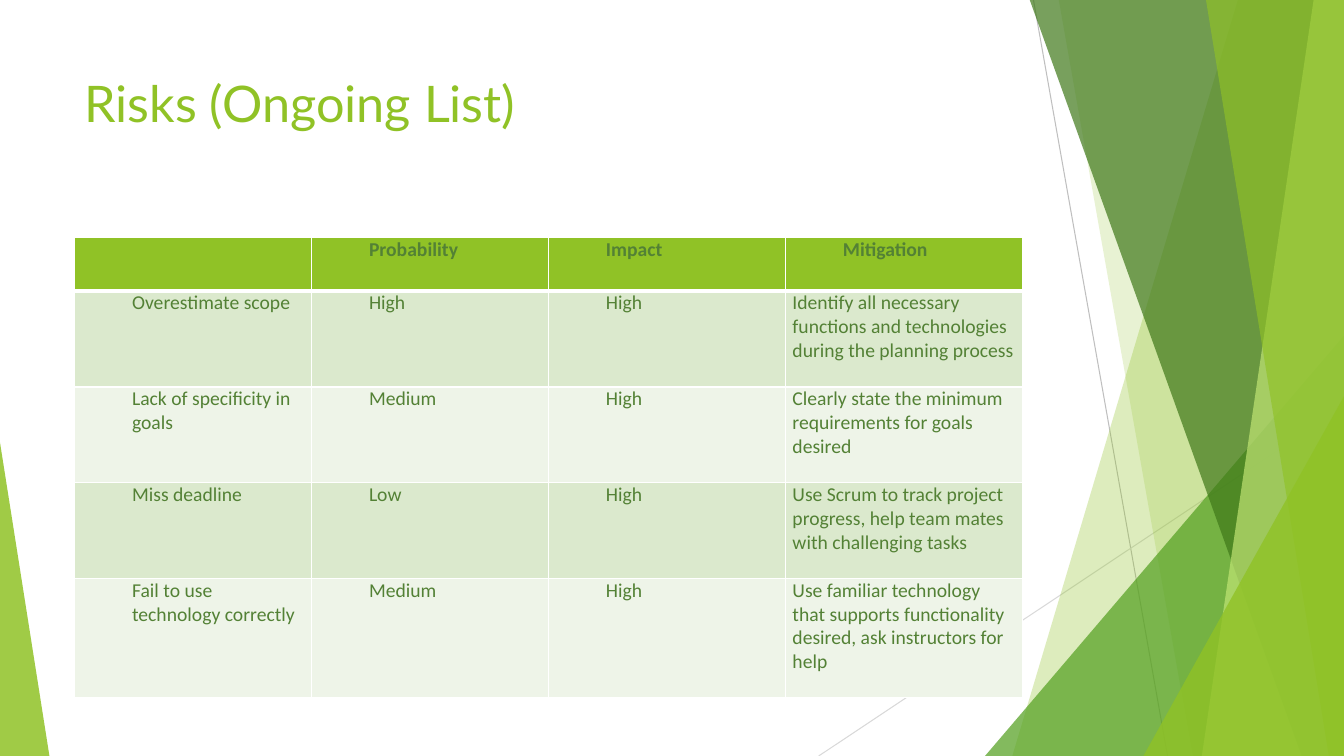
from lxml import etree
from pptx import Presentation
from pptx.dml.color import RGBColor
from pptx.enum import shapes, text
from pptx.oxml import ns
from pptx.util import Inches, Pt

GREEN = "90C226"
DARK_GREEN = "538135"
WHITE = "FFFFFF"
BAND_FILLS = ["DBE9CD", "EEF4E8"]
ROW_HEIGHTS = [0.53, 0.95, 0.95, 0.95, 1.18]
COLUMN_WIDTH = 2.35
RISKS = [
    ["", "Probability", "Impact", "Mitigation"],
    ["Overestimate scope", "High", "High",
     "Identify all necessary functions and technologies during the planning process"],
    ["Lack of specificity in goals", "Medium", "High",
     "Clearly state the minimum requirements for goals desired"],
    ["Miss deadline", "Low", "High",
     "Use Scrum to track project progress, help team mates with challenging tasks"],
    ["Fail to use technology correctly", "Medium", "High",
     "Use familiar technology that supports functionality desired, ask instructors for help"],
]


def rgb(color):
    return RGBColor.from_string(color)


def add_child(parent, tag, **attributes):
    return etree.SubElement(parent, ns.qn(tag), attributes)


def paint(shape, color, opacity):
    shape.shadow.inherit = False
    shape.line.fill.background()
    shape.fill.solid()
    shape.fill.fore_color.rgb = rgb(color)
    fill_color = shape.fill._xPr.find(ns.qn("a:solidFill"))[0]
    add_child(fill_color, "a:alpha", val=str(opacity * 1000))


def add_line(page, start, end, color):
    line = page.shapes.add_connector(
        shapes.MSO_CONNECTOR.STRAIGHT, *map(Inches, start + end))
    line.line.color.rgb = rgb(color)
    line.line.width = Pt(0.75)
    add_child(line._element.spPr, "a:effectLst")


def add_ribbon(page, top_left, bottom_left, color, opacity):
    corners = [(top_left, -0.01), (13.33, -0.01), (13.33, 7.5), (bottom_left, 7.5)]
    points = [(Inches(x), Inches(y)) for x, y in corners]
    builder = page.shapes.build_freeform(*points[0], scale=1.0)
    builder.add_line_segments(points[1:], close=True)
    paint(builder.convert_to_shape(), color, opacity)


def add_triangle(page, left, top, width, apex, color, opacity):
    triangle = page.shapes.add_shape(
        shapes.MSO_SHAPE.ISOSCELES_TRIANGLE,
        Inches(left), Inches(top), Inches(width), Inches(7.5 - top))
    triangle.adjustments[0] = apex
    paint(triangle, color, opacity)


def format_text(para, font, size, color, bold=False):
    for span in para.runs:
        span.font.name = font
        span.font.size = Pt(size)
        span.font.bold = bold
        span.font.color.rgb = rgb(color)


def add_title(page, wording):
    box = page.shapes.add_textbox(Inches(0.74), Inches(0.67), Inches(9.4), Inches(1.44))
    frame = box.text_frame
    frame.word_wrap = True
    frame.vertical_anchor = text.MSO_ANCHOR.TOP
    frame.text = wording
    format_text(frame.paragraphs[0], "Lato", 36, GREEN)


def set_borders(cell, bottom_width):
    properties = cell._tc.get_or_add_tcPr()
    widths = {"a:lnL": 1, "a:lnR": 1, "a:lnT": 1, "a:lnB": bottom_width}
    for tag, width in widths.items():
        border = add_child(properties, tag, w=str(Pt(width)))
        fill = add_child(border, "a:solidFill")
        add_child(fill, "a:srgbClr", val=WHITE)


def fill_cell(cell, wording, indented, header, color):
    set_borders(cell, 3 if header else 1)
    cell.fill.solid()
    cell.fill.fore_color.rgb = rgb(color)
    cell.margin_left = cell.margin_right = Inches(0.07)
    cell.margin_top = cell.margin_bottom = 0
    cell.text_frame.text = wording
    para = cell.text_frame.paragraphs[0]
    if indented:
        properties = para._p.get_or_add_pPr()
        properties.set("marL", str(Inches(0.5)))
        properties.set("indent", "0")
    format_text(para, "Calibri", 14, DARK_GREEN, header)


def add_risk_table(page):
    columns = len(RISKS[0])
    table = page.shapes.add_table(
        len(RISKS), columns, Inches(0.74), Inches(2.36),
        Inches(COLUMN_WIDTH * columns), Inches(sum(ROW_HEIGHTS))).table
    for column in table.columns:
        column.width = Inches(COLUMN_WIDTH)
    for row, risk in enumerate(RISKS):
        table.rows[row].height = Inches(ROW_HEIGHTS[row])
        header = row == 0
        color = GREEN if header else BAND_FILLS[(row - 1) % 2]
        for column, wording in enumerate(risk):
            indented = header or column < columns - 1
            fill_cell(table.cell(row, column), wording, indented, header, color)


def add_decoration(page):
    add_line(page, (10.25, 0), (11.58, 7.5), "BFBFBF")
    add_line(page, (13.33, 4.03), (8.12, 7.5), "D9D9D9")
    add_ribbon(page, 12.28, 10.04, GREEN, 30)
    add_ribbon(page, 10.5, 11.83, GREEN, 20)
    add_triangle(page, 9.77, 3.33, 3.56, 1, "54A021", 72)
    add_ribbon(page, 10.21, 12.91, "3F7819", 70)
    add_ribbon(page, 13.03, 11.92, "C0E474", 70)
    add_ribbon(page, 11.96, 13.18, GREEN, 65)
    add_triangle(page, 11.34, 3.93, 1.99, 1, GREEN, 80)
    add_triangle(page, 0, 4.39, 0.49, 0, GREEN, 85)


def main():
    deck = Presentation()
    deck.slide_width = Inches(13.33)
    deck.slide_height = Inches(7.5)
    page = deck.slides.add_slide(deck.slide_layouts[6])
    add_decoration(page)
    add_title(page, "Risks (Ongoing List)")
    add_risk_table(page)
    deck.save("out.pptx")


if __name__ == "__main__":
    main()
